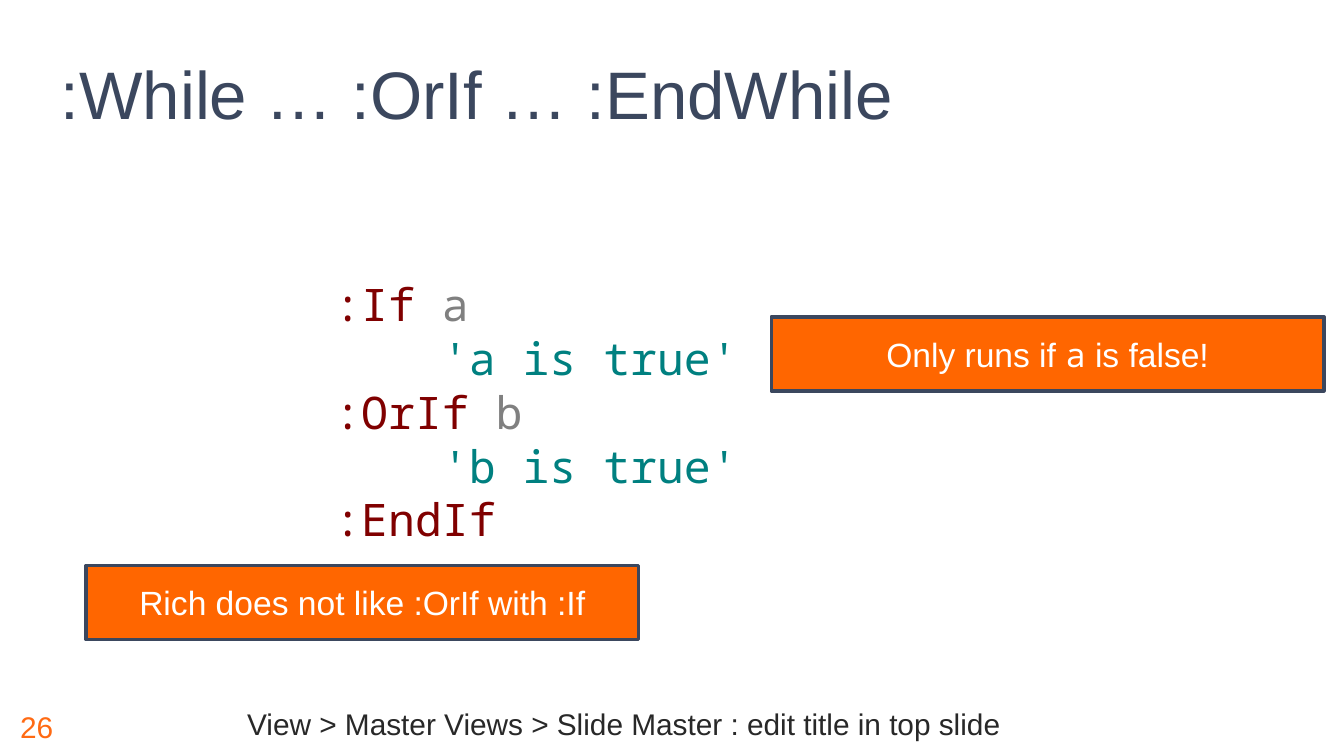
from dataclasses import dataclass

from pptx import Presentation
from pptx.dml.color import RGBColor
from pptx.enum import shapes, text
from pptx.util import Cm, Pt


@dataclass(frozen=True)
class Theme:
    sans: str = "Arial"
    mono: str = "Noto Sans Mono"
    navy: str = "3B475E"
    callout: str = "FF6600"
    number: str = "FF6A13"
    footer: str = "282828"
    white: str = "FFFFFF"
    keyword: str = "800000"
    name: str = "808080"
    string: str = "008080"
    title_size: int = 36
    code_size: int = 24
    code_pitch: float = 28.8
    callout_size: int = 18
    footer_size: int = 16


THEME = Theme()
CODE = [
    [(":If ", THEME.keyword), ("a", THEME.name)],
    [("    'a is true'", THEME.string)],
    [(":OrIf ", THEME.keyword), ("b", THEME.name)],
    [("    'b is true'", THEME.string)],
    [(":EndIf", THEME.keyword)],
]


def add_run(p, words, size, color, font=THEME.sans):
    r = p.add_run()
    r.text = words
    r.font.name = font
    r.font.size = Pt(size)
    r.font.color.rgb = RGBColor.from_string(color)


def add_text(s, box, anchor):
    """Add an empty wrapping text box and return its text frame."""
    tf = s.shapes.add_textbox(*map(Cm, box)).text_frame
    tf.word_wrap = True
    tf.vertical_anchor = anchor
    return tf


def add_label(s, box, words, size, color, anchor=text.MSO_ANCHOR.MIDDLE):
    p = add_text(s, box, anchor).paragraphs[0]
    add_run(p, words, size, color)
    return p


def add_code(s, box, lines):
    tf = add_text(s, box, text.MSO_ANCHOR.TOP)
    tf.margin_top = Cm(0.24)
    for i, line in enumerate(lines):
        p = tf.add_paragraph() if i else tf.paragraphs[0]
        p.line_spacing = Pt(THEME.code_pitch)
        for words, color in line:
            add_run(p, words, THEME.code_size, color, THEME.mono)


def add_callout(s, left, top, runs):
    sp = s.shapes.add_shape(shapes.MSO_SHAPE.RECTANGLE,
                            Cm(left), Cm(top), Cm(10.44), Cm(1.4))
    sp.shadow.inherit = False
    sp.fill.solid()
    sp.fill.fore_color.rgb = RGBColor.from_string(THEME.callout)
    sp.line.color.rgb = RGBColor.from_string(THEME.navy)
    sp.line.width = Pt(2)
    tf = sp.text_frame
    tf.word_wrap = True
    tf.vertical_anchor = text.MSO_ANCHOR.MIDDLE
    p = tf.paragraphs[0]
    p.alignment = text.PP_ALIGN.CENTER
    for words, font in runs:
        add_run(p, words, THEME.callout_size, THEME.white, font)


def main():
    prs = Presentation()
    prs.slide_width, prs.slide_height = Cm(25.4), Cm(14.29)
    s = prs.slides.add_slide(prs.slide_layouts[6])

    footer = add_label(s, (1.98, 13.18, 19.63, 1.11),
                       "View > Master Views > Slide Master : edit title in top slide",
                       THEME.footer_size, THEME.footer)
    footer.alignment = text.PP_ALIGN.CENTER
    footer.line_spacing = 0.8
    add_label(s, (0.13, 13.18, 1.85, 1.11), "26", THEME.footer_size, THEME.number)
    add_label(s, (0.9, 0.74, 18.08, 1.9), ":While … :OrIf … :EndWhile",
              THEME.title_size, THEME.navy, text.MSO_ANCHOR.BOTTOM)

    add_code(s, (6.07, 5, 9.6, 5.38), CODE)
    add_callout(s, 1.63, 10.69, [("Rich does not like :OrIf with :If", THEME.sans)])
    add_callout(s, 14.58, 5.99, [("Only runs if ", THEME.sans), ("a", THEME.mono),
                                 (" is false!", THEME.sans)])
    prs.save("out.pptx")


if __name__ == "__main__":
    main()
